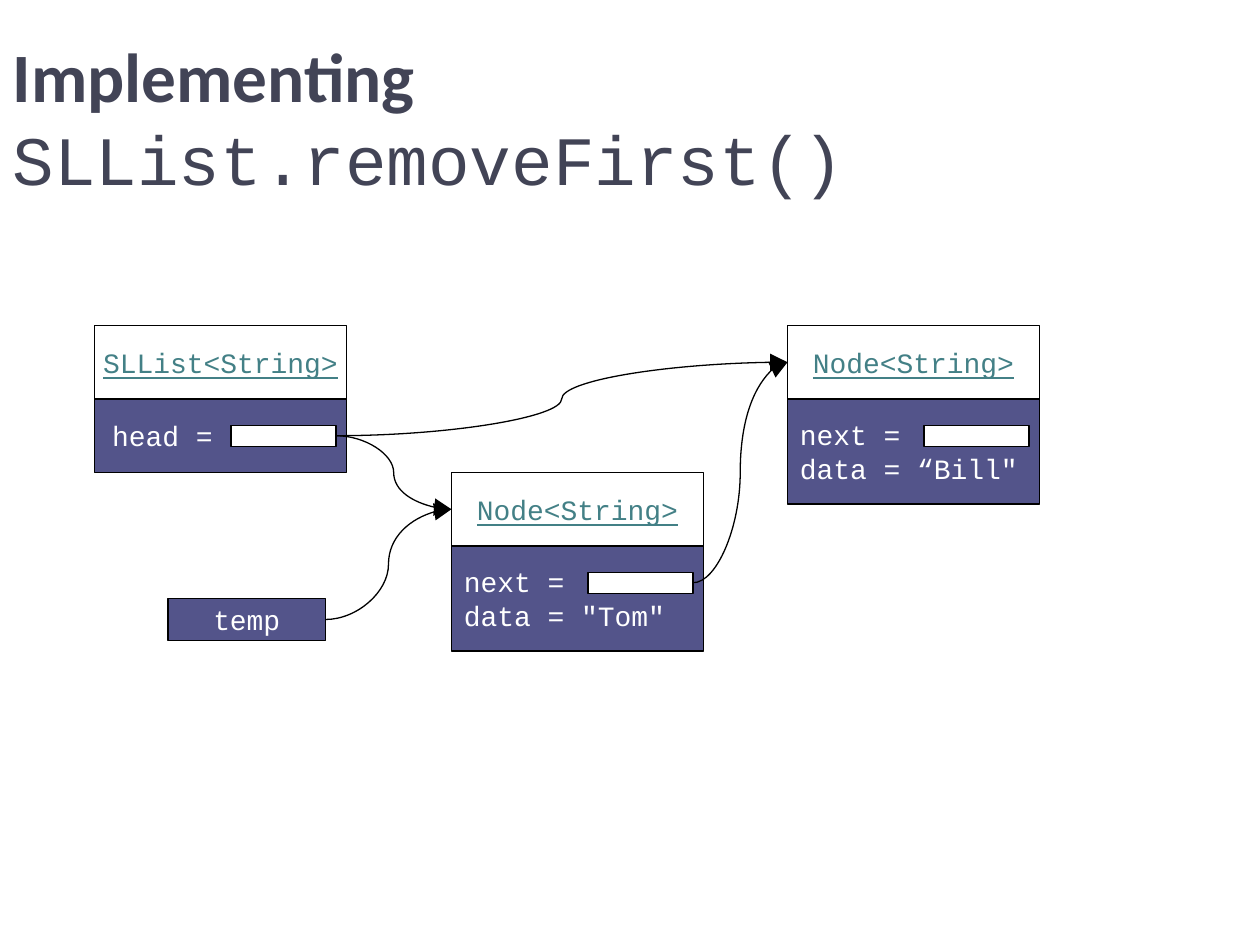
"""Build a slide showing removeFirst() on a singly linked list."""
from lxml.etree import SubElement
from pptx import Presentation
from pptx.dml.color import RGBColor
from pptx.enum.shapes import MSO_CONNECTOR, MSO_SHAPE
from pptx.enum.text import MSO_ANCHOR, MSO_AUTO_SIZE, PP_ALIGN
from pptx.oxml.ns import qn
from pptx.util import Inches, Pt

prs = Presentation()
prs.slide_width, prs.slide_height = Inches(10), Inches(7.5)
U = prs.slide_width // 120
WIDTH, HEAD = 24, 7


def style(font, size, color, name="Courier New"):
    font.name, font.size = name, Pt(size)
    font.color.rgb = RGBColor.from_string(color)


def box(shapes, x, y, w, h, fill=None, text="", color="FFFFFF", align=PP_ALIGN.CENTER):
    s = shapes.add_shape(MSO_SHAPE.RECTANGLE, *(int(v * U) for v in (x, y, w, h)))
    s.shadow.inherit = False
    if fill:
        s.fill.solid()
        s.fill.fore_color.rgb = RGBColor.from_string(fill)
    else:
        s.fill.background()
    s.line.color.rgb = RGBColor.from_string("000000")
    s.line.width = Pt(0.75)
    tf = s.text_frame
    tf.text = text
    tf.vertical_anchor = MSO_ANCHOR.MIDDLE
    tf.word_wrap = align == PP_ALIGN.LEFT
    for p in tf.paragraphs:
        p.alignment = align
        for r in p.runs:
            style(r.font, 16, color)
    return s


slide = prs.slides.add_slide(prs.slide_layouts[5])
title = slide.shapes.title
title.left, title.top, title.width, title.height = 0, Inches(0.3), Inches(9.5), Inches(1.25)
tf = title.text_frame
tf.auto_size = MSO_AUTO_SIZE.NONE
tf.word_wrap = True
tf.vertical_anchor = MSO_ANCHOR.MIDDLE
p = tf.paragraphs[0]
p.alignment = PP_ALIGN.LEFT
for text, name, bold in (("Implementing ", "Calibri", True),
                         ("SLList.removeFirst()", "Courier New", False)):
    r = p.add_run()
    r.text = text
    style(r.font, 39.6, "424456", name)
    r.font.bold = bold

objects = {
    "list": (9, 31, 7, "SLList<String>", "head =", 0.14),
    "tom": (43, 45, 10, "Node<String>", 'next =\ndata = "Tom"', 0.1),
    "bill": (75, 31, 10, "Node<String>", 'next =\ndata = “Bill"', 0.1),
}
headers, slots = {}, {}
for key, (x, y, h, kind, fields, inset) in objects.items():
    shapes = slide.shapes.add_group_shape().shapes
    body = box(shapes, x, y + HEAD, WIDTH, h, "53548A", fields, align=PP_ALIGN.LEFT)
    body.text_frame.margin_left = Inches(inset)
    slots[key] = box(shapes, x + 13, y + HEAD + 2.5, 10, 2, "FFFFFF")
    headers[key] = box(shapes, x, y, WIDTH, HEAD, text=kind, color="438086")
    headers[key].text_frame.paragraphs[0].runs[0].font.underline = True

temp = box(slide.shapes, 16, 57, 15, 4, "53548A", "temp")

for start, end in ((slots["list"], headers["tom"]), (slots["tom"], headers["bill"]),
                   (slots["list"], headers["bill"]), (temp, headers["tom"])):
    arrow = slide.shapes.add_connector(MSO_CONNECTOR.CURVE, 0, 0, 0, 0)
    arrow.begin_connect(start, 3)
    arrow.end_connect(end, 1)
    arrow.line.color.rgb = RGBColor.from_string("000000")
    arrow.line.width = Pt(0.75)
    SubElement(arrow.line._get_or_add_ln(), qn("a:tailEnd"), type="triangle", w="lg", len="lg")
    SubElement(arrow._element.spPr, qn("a:effectLst"))

prs.save("out.pptx")
